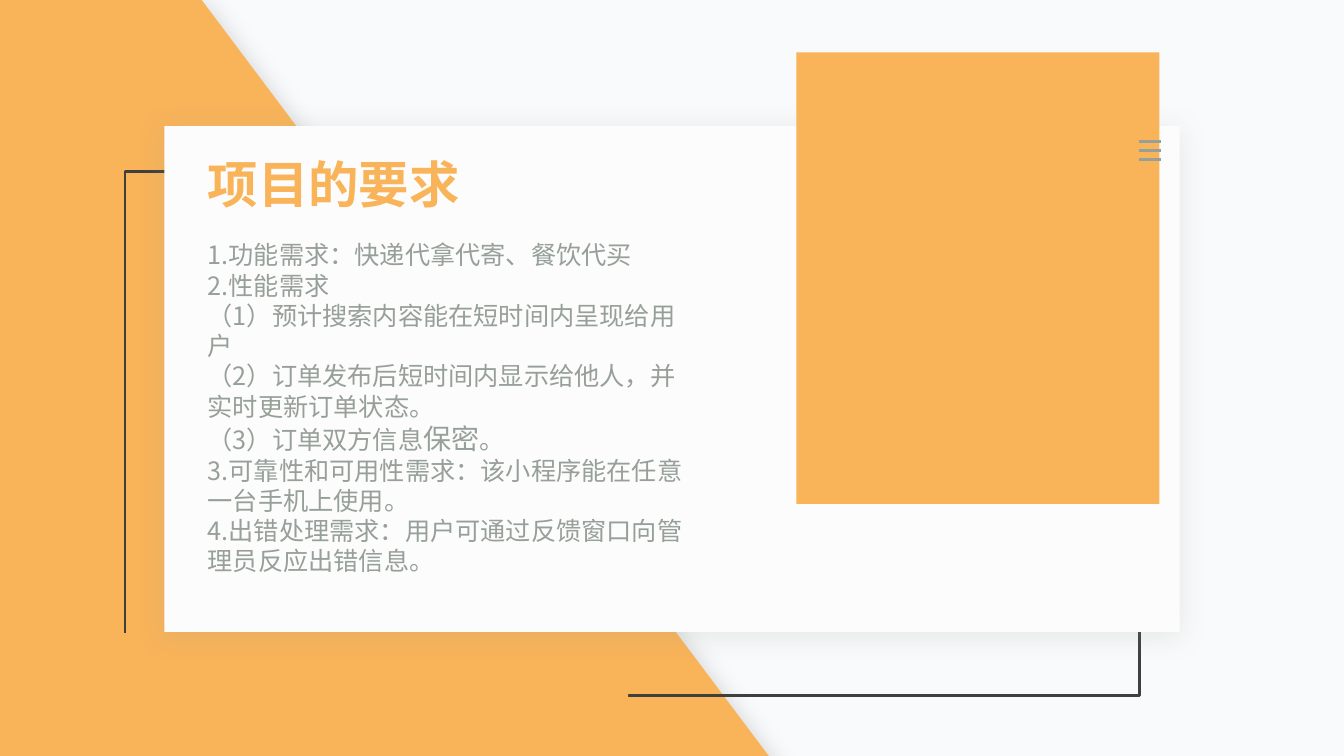
from lxml import etree
from pptx import Presentation
from pptx.dml.color import RGBColor
from pptx.enum.shapes import MSO_CONNECTOR, MSO_SHAPE
from pptx.enum.text import MSO_ANCHOR, MSO_AUTO_SIZE, PP_ALIGN
from pptx.oxml import parse_xml
from pptx.oxml.ns import nsdecls, qn
from pptx.util import Inches, Pt

RECTANGLE = MSO_SHAPE.RECTANGLE
STRAIGHT = MSO_CONNECTOR.STRAIGHT
ORANGE = RGBColor(0xF9, 0xB3, 0x59)
GREY = RGBColor(0x96, 0x9F, 0x98)
DARK = RGBColor(0x3F, 0x40, 0x3E)
CARD = RGBColor(0xFC, 0xFC, 0xFD)
BACKGROUND = RGBColor(0xF9, 0xFA, 0xFB)
BLACK = RGBColor(0, 0, 0)
FONT = "Noto Sans CJK SC"

REQUIREMENTS = [
    [("1.功能需求：快递代拿代寄、餐饮代买", 18)],
    [("2.性能需求", 18)],
    [("（1）预计搜索内容能在短时间内呈现给用户", 18)],
    [("（2）订单发布后短时间内显示给他人，并实时更新订单状态。", 18)],
    [("（3）订单双方信息", 18), ("保密", 20), ("。", 18)],
    [("3.可靠性和可用性需求：该小程序能在任意一台手机上使用。", 18)],
    [("4.出错处理需求：用户可通过反馈窗口向管理员反应出错信息。", 18)],
]
FRAME_FORMAT = {
    "margin_left": Inches(0.05),
    "margin_right": Inches(0.05),
    "margin_top": Inches(0.05),
    "margin_bottom": Inches(0.05),
    "vertical_anchor": MSO_ANCHOR.TOP,
    "auto_size": MSO_AUTO_SIZE.SHAPE_TO_FIT_TEXT,
}


def paint(shape, fill=None, shadow=None):
    shape.shadow.inherit = False
    if fill is None:
        shape.fill.background()
        shape.line.color.rgb = DARK
        shape.line.width = Pt(2)
    else:
        shape.fill.solid()
        shape.fill.fore_color.rgb = fill
        shape.line.fill.background()
    if shadow is not None:
        effects = shape._element.spPr.find(qn("a:effectLst"))
        effects.append(parse_xml(
            f'<a:outerShdw {nsdecls("a")} blurRad="{Pt(20)}" dist="{Pt(3)}" '
            f'dir="5400000" algn="t" rotWithShape="0"><a:srgbClr val="{shadow}">'
            '<a:alpha val="20000"/></a:srgbClr></a:outerShdw>'))


def write(paragraph, text, size, color, bold):
    run = paragraph.add_run()
    run.text = text
    for name, value in {"name": FONT, "size": Pt(size), "bold": bold}.items():
        setattr(run.font, name, value)
    run.font.color.rgb = color
    east_asian = etree.SubElement(run._r.get_or_add_rPr(), qn("a:ea"))
    east_asian.set("typeface", FONT)


prs = Presentation()
prs.slide_width = Inches(13.33)
prs.slide_height = Inches(7.5)
slide = prs.slides.add_slide(prs.slide_layouts[5])
slide.background.fill.solid()
slide.background.fill.fore_color.rgb = BACKGROUND

outline = slide.shapes.build_freeform(0, 0, scale=Inches(1))
outline.add_line_segments([(1.52, 0), (8.19, 7.5), (0, 7.5)], close=True)
paint(outline.convert_to_shape(), ORANGE, BLACK)

for left, top, width, height, fill, shadow in [
    (1.24, 1.7, 10.06, 5.2, None, None),
    (0.71, 6.28, 5.52, 1.21, ORANGE, None),
    (1.63, 1.25, 10.07, 5.02, CARD, GREY),
    (7.9, 0.52, 3.6, 4.48, ORANGE, None),
]:
    panel = slide.shapes.add_shape(
        RECTANGLE, Inches(left), Inches(top), Inches(width), Inches(height))
    paint(panel, fill, shadow)

title = slide.shapes.title
slide.shapes._spTree.append(title._element)
title_place = {"left": 2.01, "top": 1.47, "width": 2.63, "height": 0.71}
for name, value in title_place.items():
    setattr(title, name, Inches(value))
body = slide.shapes.add_textbox(Inches(2.01), Inches(2.33), Inches(4.92), Inches(3.47))

for box, wrap, paragraphs, color, bold in [
    (title, False, [[("项目的要求", 36)]], ORANGE, True),
    (body, True, REQUIREMENTS, GREY, False),
]:
    frame = box.text_frame
    for name, value in FRAME_FORMAT.items():
        setattr(frame, name, value)
    frame.word_wrap = wrap
    for index, runs in enumerate(paragraphs):
        paragraph = frame.add_paragraph() if index else frame.paragraphs[0]
        paragraph.alignment = PP_ALIGN.LEFT
        for text, size in runs:
            write(paragraph, text, size, color, bold)

menu = slide.shapes.add_group_shape()
for row in range(3):
    y = Inches(1.4 + row * 0.09)
    bar = menu.shapes.add_connector(STRAIGHT, Inches(11.3), y, Inches(11.52), y)
    bar.line.color.rgb = GREY
    bar.line.width = Pt(2)
    etree.SubElement(bar._element.spPr, qn("a:effectLst"))

prs.save("out.pptx")
